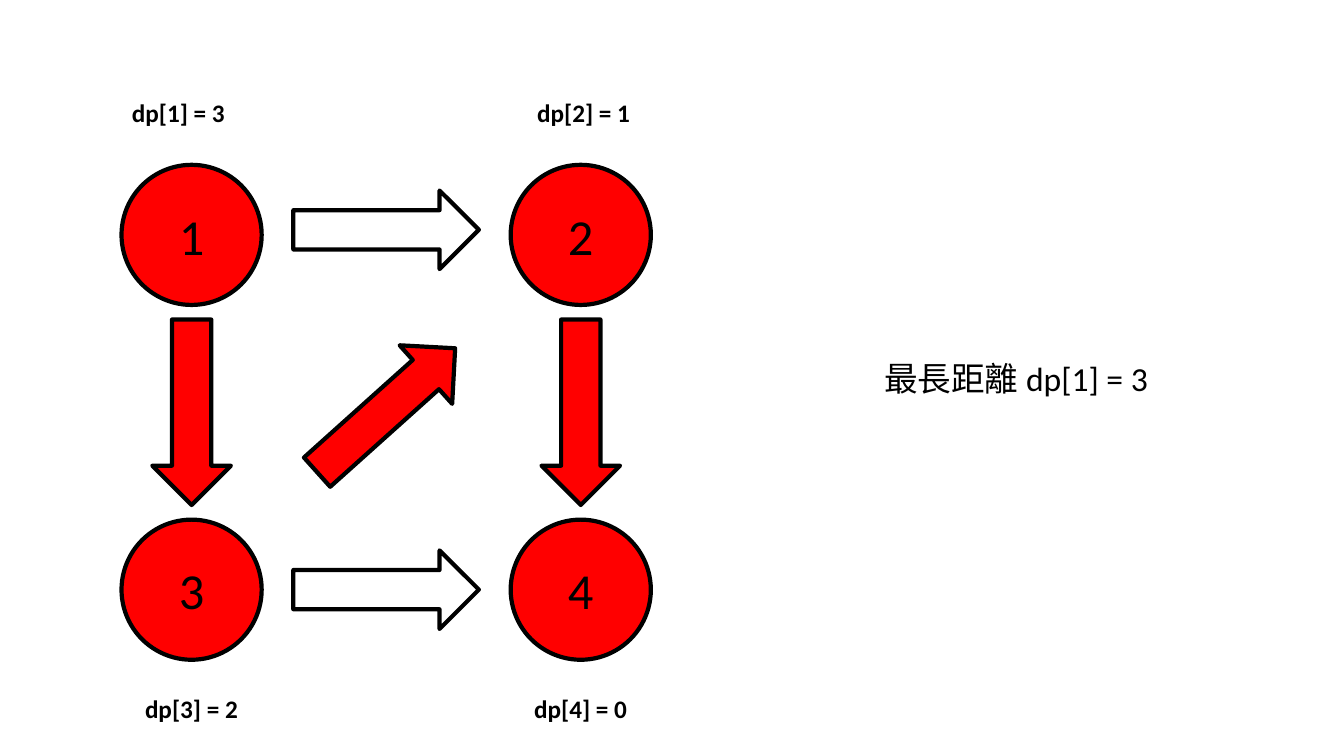
from pptx import Presentation
from pptx.dml.color import RGBColor
from pptx.enum.shapes import MSO_SHAPE as Preset
from pptx.enum.text import MSO_ANCHOR as Anchor, MSO_AUTO_SIZE as AutoSize, PP_ALIGN as Align
from pptx.util import Inches, Pt

THEME = {
    "font": "Calibri",
    "ink": RGBColor(0, 0, 0),
    "visited": RGBColor(255, 0, 0),
    "outline": Pt(3),
    "node": Pt(36),
    "label": Pt(18),
    "answer": Pt(24),
}

# Grid: centres of the two columns and two rows of nodes
COLUMNS = [1.9 + 3.86 * i for i in range(2)]
ROWS = [2.33 + 3.52 * i for i in range(2)]
MIDDLE_X = sum(COLUMNS) / 2
MIDDLE_Y = sum(ROWS) / 2
NODE_SIZE = 1.39
EDGE_LENGTH, EDGE_THICKNESS = 1.84, 0.78

presentation = Presentation()
presentation.slide_width = Inches(13.33)
presentation.slide_height = Inches(7.5)
slide = presentation.slides.add_slide(presentation.slide_layouts[6])


def add_outlined(preset, center_x, center_y, width, height, visited):
    figure = slide.shapes.add_shape(
        preset, Inches(center_x - width / 2), Inches(center_y - height / 2),
        Inches(width), Inches(height))
    figure.shadow.inherit = False
    if visited:
        figure.fill.solid()
        figure.fill.fore_color.rgb = THEME["visited"]
    else:
        figure.fill.background()
    figure.line.color.rgb = THEME["ink"]
    figure.line.width = THEME["outline"]
    return figure


def write(frame, text, size, align=Align.LEFT, bold=False, **frame_format):
    for attribute, value in frame_format.items():
        setattr(frame, attribute, value)
    paragraph = frame.paragraphs[0]
    paragraph.alignment = align
    run = paragraph.add_run()
    run.text = text
    for attribute, value in {"name": THEME["font"], "size": THEME[size], "bold": bold}.items():
        setattr(run.font, attribute, value)
    run.font.color.rgb = THEME["ink"]


# Nodes, numbered row by row
for index in range(4):
    row, column = divmod(index, 2)
    node = add_outlined(Preset.OVAL, COLUMNS[column], ROWS[row], NODE_SIZE, NODE_SIZE, True)
    write(node.text_frame, str(index + 1), "node", Align.CENTER, vertical_anchor=Anchor.MIDDLE)

# Edges: centre, rotation, and whether the longest path uses it
edges = [
    (MIDDLE_X, ROWS[0] - 0.05, 0, False),
    (MIDDLE_X, ROWS[1], 0, False),
    (COLUMNS[0], MIDDLE_Y, 90, True),
    (COLUMNS[1], MIDDLE_Y, 90, True),
    (MIDDLE_X, MIDDLE_Y - 0.02, 318.1, True),
]
for center_x, center_y, rotation, on_path in edges:
    edge = add_outlined(Preset.RIGHT_ARROW, center_x, center_y,
                        EDGE_LENGTH, EDGE_THICKNESS, on_path)
    edge.rotation = rotation

# Distance labels above and below the nodes, and the answer
captions = [
    ("dp[1] = 3", 1.21, 0.92, 1.13, 0.4, "label"),
    ("dp[2] = 1", 5.23, 0.92, 1.13, 0.4, "label"),
    ("dp[3] = 2", 1.34, 6.83, 1.13, 0.4, "label"),
    ("dp[4] = 0", 5.2, 6.83, 1.13, 0.4, "label"),
    ("最長距離 dp[1] = 3", 8.67, 3.5, 2.84, 0.5, "answer"),
]
for text, left, top, width, height, size in captions:
    caption = slide.shapes.add_textbox(Inches(left), Inches(top), Inches(width), Inches(height))
    write(caption.text_frame, text, size, bold=size == "label",
          word_wrap=size == "answer", auto_size=AutoSize.SHAPE_TO_FIT_TEXT)

presentation.save("out.pptx")
